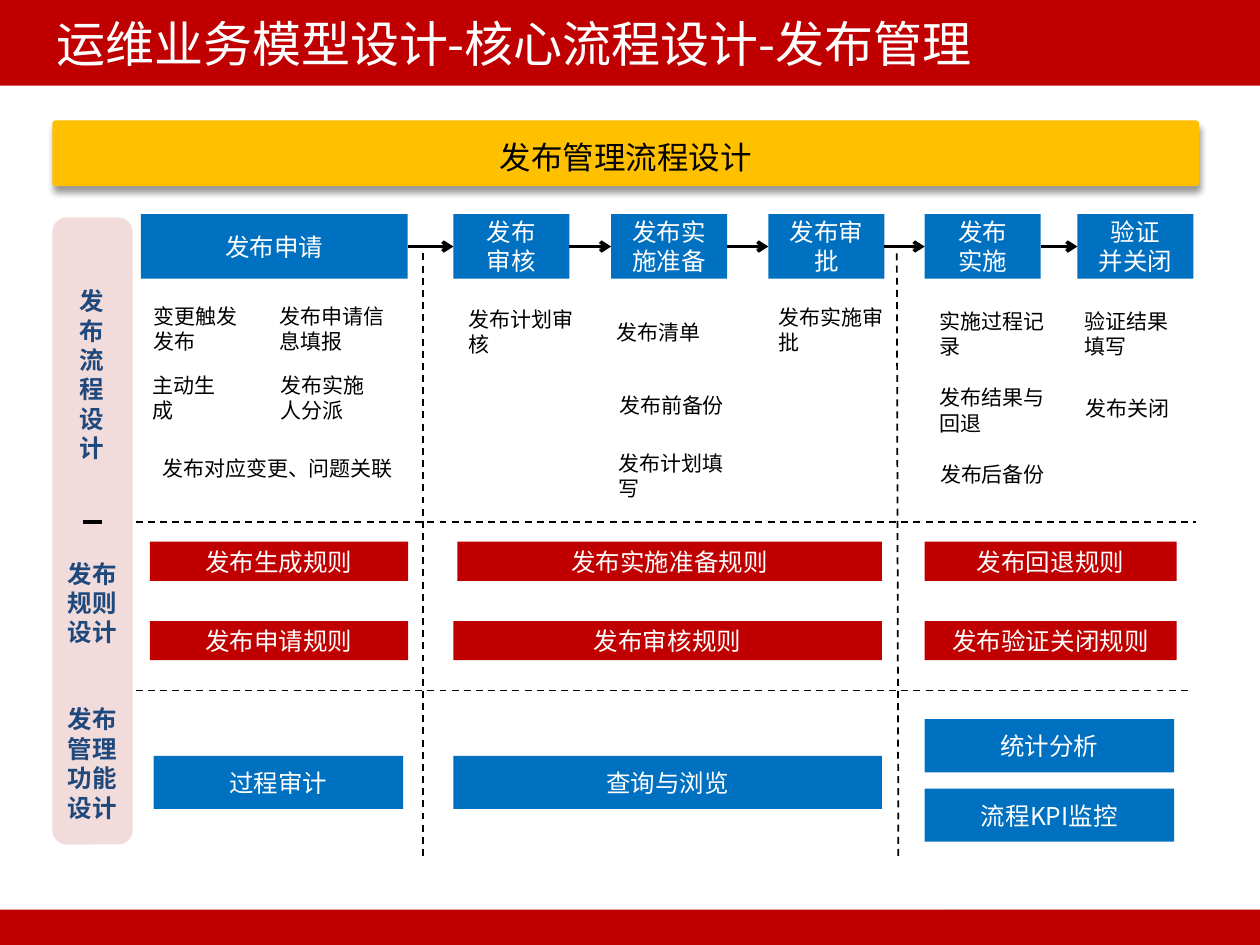
from lxml import etree
from pptx import Presentation
from pptx.dml.color import RGBColor
from pptx.enum.dml import MSO_LINE
from pptx.enum.shapes import MSO_CONNECTOR, MSO_SHAPE
from pptx.enum.text import MSO_ANCHOR, PP_ALIGN
from pptx.oxml import parse_xml
from pptx.oxml.ns import nsdecls, qn
from pptx.util import Cm, Pt

RECT, ROUND, PLATE = MSO_SHAPE.RECTANGLE, MSO_SHAPE.ROUNDED_RECTANGLE, MSO_SHAPE.PENTAGON
LEFT, CENTER = PP_ALIGN.LEFT, PP_ALIGN.CENTER
TOP, MIDDLE = MSO_ANCHOR.TOP, MSO_ANCHOR.MIDDLE
STRAIGHT, DASH = MSO_CONNECTOR.STRAIGHT, MSO_LINE.DASH

THEME = dict(
    font="Noto Sans CJK SC",
    red="C00000", blue="0070C0", gold="FFC000", pink="F2DCDB", navy="1F497D",
    white="FFFFFF", black="000000",
    title=28, banner=18, box=14, note=12,
)

# Content: all lengths in centimetres
TITLE = "运维业务模型设计-核心流程设计-发布管理"
BANNER = "发布管理流程设计"
STEP_Y, STEP_H = 4.32, 1.3
STEPS = [  # text, left, width
    ("发布申请", 2.84, 5.38), ("发布\n审核", 9.14, 2.34), ("发布实施准备", 12.32, 2.34),
    ("发布审批", 15.49, 2.34), ("发布\n实施", 18.64, 2.34), ("验证\n并关闭", 21.72, 2.34),
]
NOTE_H = 1.04
NOTES = [  # text, left, top, width, alignment, side inset
    ("变更触发发布", 3.0, 6.1, 2.26, LEFT, 0.05),
    ("主动生成", 2.77, 7.49, 2.26, LEFT, 0.25),
    ("发布对应变更、问题关联", 2.97, 8.92, 5.31, LEFT, 0.25),
    ("发布申请信息填报", 5.54, 6.1, 2.69, LEFT, 0.05),
    ("发布实施人分派", 5.36, 7.49, 2.69, LEFT, 0.25),
    ("发布计划审核", 9.14, 6.17, 2.77, LEFT, 0.25),
    ("发布清单", 11.91, 6.17, 2.74, CENTER, 0.25),
    ("发布前备份", 12.17, 7.65, 2.74, CENTER, 0.25),
    ("发布计划填写", 12.17, 9.07, 2.74, LEFT, 0.25),
    ("发布实施审批", 15.39, 6.12, 2.72, LEFT, 0.25),
    ("实施过程记录", 18.64, 6.2, 2.72, LEFT, 0.25),
    ("发布结果与回退", 18.64, 7.75, 2.74, LEFT, 0.25),
    ("发布后备份", 18.64, 9.04, 2.74, CENTER, 0.25),
    ("验证结果填写", 21.56, 6.2, 2.59, LEFT, 0.25),
    ("发布关闭", 21.44, 7.7, 2.59, CENTER, 0.25),
]
RULE_H = 0.79
RULES = [  # top, then text, left, width
    (10.92, [("发布生成规则", 3.02, 5.21), ("发布实施准备规则", 9.22, 8.56),
             ("发布回退规则", 18.64, 5.08)]),
    (12.52, [("发布申请规则", 3.02, 5.21), ("发布审核规则", 9.14, 8.64),
             ("发布验证关闭规则", 18.64, 5.08)]),
]
FUNCTION_H = 1.07
FUNCTIONS = [  # text, left, top, width
    ("过程审计", 3.1, 15.24, 5.03), ("查询与浏览", 9.14, 15.24, 8.64),
    ("统计分析", 18.64, 14.5, 5.03), ("流程KPI监控", 18.64, 15.9, 5.03),
]
DIVIDERS = [  # x1, y1, x2, y2
    (8.53, 5.11, 8.53, 17.35), (18.08, 5.11, 18.11, 17.35),
    (2.49, 10.52, 24.1, 10.52), (2.49, 13.92, 23.95, 13.92),
]
SECTIONS = [  # text, left, top, width, height
    ("发布流程设计", 1.27, 5.64, 1.17, 3.84),
    ("发布规则设计", 1.09, 11.13, 1.55, 2.06),
    ("发布管理功能设计", 1.09, 14.07, 1.55, 2.64),
]


def color(name):
    return RGBColor.from_string(THEME[name])


def write(sp, text, size, ink, align=CENTER, anchor=MIDDLE, inset=0.25, bold=False):
    tf = sp.text_frame
    tf.word_wrap = True
    tf.vertical_anchor = anchor
    tf.margin_left = tf.margin_right = Cm(inset)
    tf.margin_top = tf.margin_bottom = Cm(0.13)
    for i, line in enumerate(text.split("\n")):
        p = tf.add_paragraph() if i else tf.paragraphs[0]
        p.alignment = align
        r = p.add_run()
        r.text = line
        r.font.name = THEME["font"]
        r.font.size = Pt(THEME[size])
        r.font.bold = bold
        r.font.color.rgb = color(ink)
        ea = etree.SubElement(r.font._element, qn("a:ea"))
        ea.set("typeface", THEME["font"])


def add_box(s, kind, x, y, w, h, fill, border=None):
    sp = s.shapes.add_shape(kind, Cm(x), Cm(y), Cm(w), Cm(h))
    sp.shadow.inherit = False
    sp.fill.solid()
    sp.fill.fore_color.rgb = color(fill)
    if border:
        sp.line.color.rgb = color(fill)
        sp.line.width = Pt(border)
    else:
        sp.line.fill.background()
    return sp


def add_line(s, x1, y1, x2, y2, width, dash=None, arrow=False):
    c = s.shapes.add_connector(STRAIGHT, Cm(x1), Cm(y1), Cm(x2), Cm(y2))
    c.line.color.rgb = color("black")
    c.line.width = Pt(width)
    if dash:
        c.line.dash_style = dash
    if arrow:
        etree.SubElement(c.line._get_or_add_ln(), qn("a:tailEnd")).set("type", "arrow")
    etree.SubElement(c.element.spPr, qn("a:effectLst"))


def add_shadow(sp):
    spPr = sp.element.spPr
    spPr.remove(spPr.find(qn("a:effectLst")))
    spPr.append(parse_xml(
        f'<a:effectLst {nsdecls("a")}><a:outerShdw blurRad="{Pt(4)}" dist="{Pt(3)}" '
        f'dir="5400000" rotWithShape="0"><a:srgbClr val="{THEME["black"]}">'
        '<a:alpha val="40000"/></a:srgbClr></a:outerShdw></a:effectLst>'))


def main():
    prs = Presentation()
    prs.slide_width, prs.slide_height = Cm(25.4), Cm(19.05)
    s = prs.slides.add_slide(prs.slide_layouts[5])

    # Header and footer bars, with the title in front
    add_box(s, RECT, 0, 0, 25.4, 1.73, "red")
    add_box(s, RECT, 0, 18.34, 25.4, 0.71, "red")
    add_box(s, PLATE, 18.69, 18.34, 6.71, 0.71, "red").rotation = 180
    title = s.shapes.title
    title.left, title.top, title.width, title.height = Cm(0.89), Cm(0), Cm(23.6), Cm(1.73)
    write(title, TITLE, "title", "white", LEFT)
    s.shapes.element.append(title.element)

    # Rules
    for y, row in RULES:
        for text, x, w in row:
            write(add_box(s, RECT, x, y, w, RULE_H, "red"), text, "box", "white")

    # Process steps joined by arrows
    for text, x, w in STEPS:
        write(add_box(s, RECT, x, STEP_Y, w, STEP_H, "blue"), text, "box", "white")
    mid = STEP_Y + STEP_H / 2
    for (_, x, w), (_, next_x, _) in zip(STEPS, STEPS[1:]):
        add_line(s, x + w, mid, next_x, mid, 2, arrow=True)

    # Activities under each step
    for text, x, y, w, align, inset in NOTES:
        sp = add_box(s, ROUND, x, y, w, NOTE_H, "white", 0.75)
        write(sp, text, "note", "black", align, inset=inset)

    # Functions
    for text, x, y, w in FUNCTIONS:
        write(add_box(s, RECT, x, y, w, FUNCTION_H, "blue"), text, "box", "white")

    # Dashed dividers
    for ends in DIVIDERS:
        add_line(s, *ends, 1, DASH)

    # Banner
    banner = add_box(s, ROUND, 1.07, 2.44, 23.09, 1.3, "gold", 0.75)
    banner.adjustments[0] = 0.04
    add_shadow(banner)
    write(banner, BANNER, "banner", "black", inset=0)
    banner.text_frame.paragraphs[0].line_spacing = 1.2

    # Side panel with section labels
    add_box(s, ROUND, 1.09, 4.42, 1.55, 12.57, "pink", 2)
    for text, x, y, w, h in SECTIONS:
        label = s.shapes.add_textbox(Cm(x), Cm(y), Cm(w), Cm(h))
        write(label, text, "box", "navy", anchor=TOP, bold=True)
    add_line(s, 1.68, 10.52, 2.06, 10.52, 2)

    prs.save("out.pptx")


if __name__ == "__main__":
    main()
